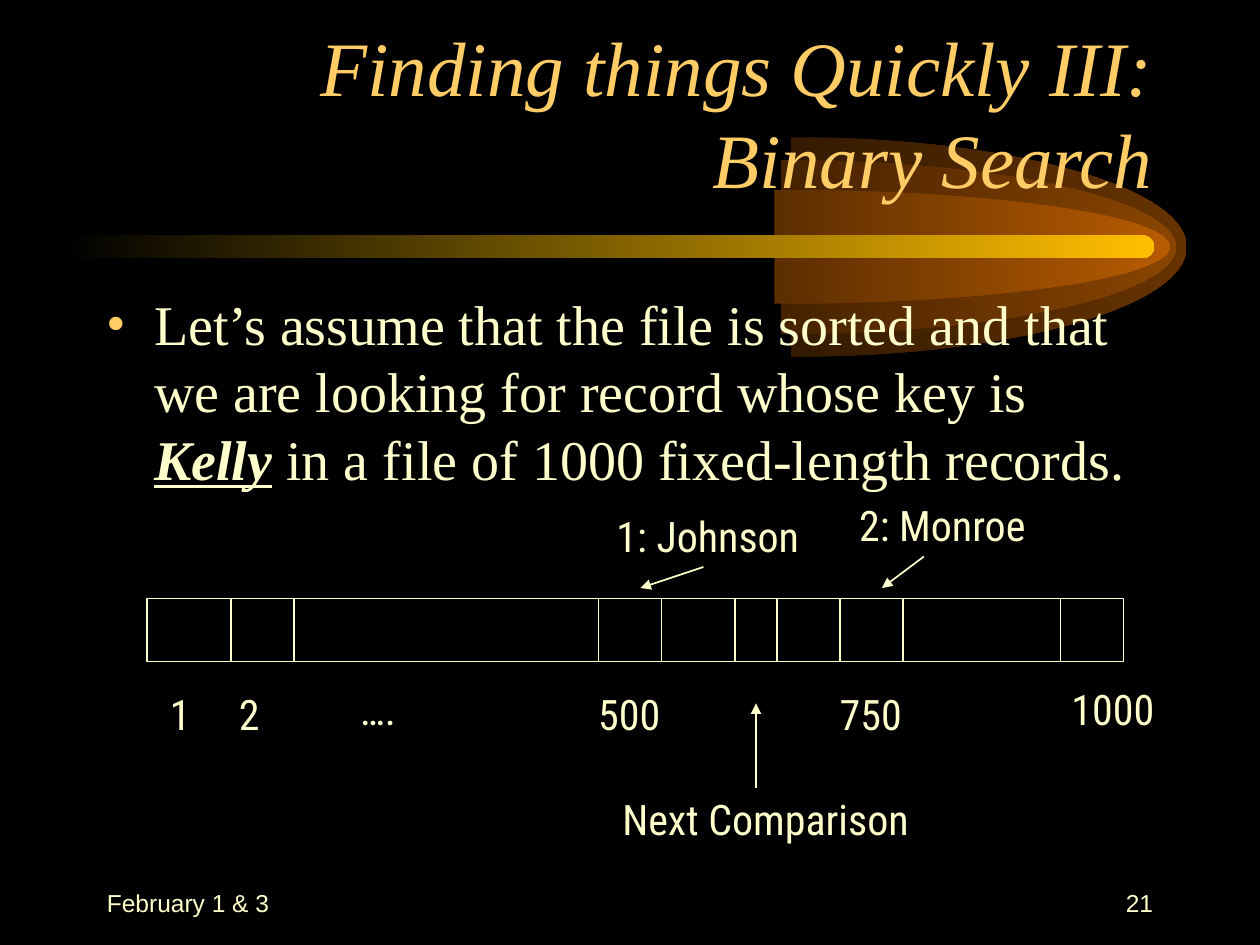
import pptx
import pptx.util
import pptx.oxml
import pptx.oxml.ns
import pptx.dml.color
import pptx.enum.shapes
import pptx.enum.text

Pt = pptx.util.Pt
RGBColor = pptx.dml.color.RGBColor
ALIGN = pptx.enum.text.PP_ALIGN
ANCHOR = pptx.enum.text.MSO_ANCHOR
SHAPE = pptx.enum.shapes.MSO_SHAPE

BLACK = RGBColor(0x00, 0x00, 0x00)
CREAM = RGBColor(0xFF, 0xFF, 0xCC)
GOLD = RGBColor(0xFF, 0xCC, 0x66)
AMBER = RGBColor(0xFF, 0xBF, 0x00)
ROUNDNESS = 0.55
COMET = [
    (452, 78.5, 226, 62.7, RGBColor(0x33, 0x1A, 0x00), RGBColor(0x66, 0x33, 0x00)),
    (446, 91.5, 226, 49.7, RGBColor(0x45, 0x22, 0x00), RGBColor(0x89, 0x44, 0x00)),
    (442.5, 108.5, 226, 32.5, RGBColor(0x5C, 0x2E, 0x00), RGBColor(0xB7, 0x5B, 0x00)),
]

FILE_LEFT, FILE_TOP, FILE_RIGHT, FILE_BOTTOM = 84, 342, 642, 378
DIVIDERS = [132, 168, 342, 378, 420, 444, 480, 516, 606]
LABELS = [
    ("….", 216, 387, 40), ("500", 359.6, 390, 55.5), ("750", 497.6, 390, 55.5),
    ("1000", 636, 387, 69), ("1: Johnson", 404.5, 288, 132.5),
    ("2: Monroe", 538.5, 282, 129.5), ("Next Comparison", 437.5, 450, 211),
]
ARROWS = [(402, 324, 366, 336), (528, 318, 504, 336), (432, 450, 432, 402)]


def add_xml(parent, tag, attributes="", content=""):
    """Append a drawing element to a parent element."""
    ns = pptx.oxml.ns.nsdecls("a")
    parent.append(pptx.oxml.parse_xml(
        f"<a:{tag} {ns} {attributes}>{content}</a:{tag}>"))


def fill_gradient(sp, left_color, right_color):
    """Fill a shape from left to right and remove its outline and shadow."""
    sp.shadow.inherit = False
    sp.line.fill.background()
    sp.fill.gradient()
    sp.fill.gradient_angle = 0
    for stop, color in zip(sp.fill.gradient_stops, (left_color, right_color)):
        stop.color.rgb = color


def add_comet_layer(s, left, top, rx, ry, left_color, right_color):
    """Draw a right half-ellipse of two curves, fading towards the left."""
    k = ROUNDNESS
    units = [(0, -1), (k, -1), (1, -k), (1, 0), (1, k), (k, 1), (0, 1)]
    points = [(Pt(left + rx * x), Pt(top + ry + ry * y)) for x, y in units]
    builder = s.shapes.build_freeform(*points[0], scale=1.0)
    builder.add_line_segments(points[1:], close=True)
    sp = builder.convert_to_shape()
    qn = pptx.oxml.ns.qn
    segments = list(sp._element.iter(qn("a:lnTo")))
    for i in (0, 3):
        curve = segments[i]
        for segment in segments[i + 1:i + 3]:
            curve.append(segment[0])
            segment.getparent().remove(segment)
        curve.tag = qn("a:cubicBezTo")
    fill_gradient(sp, left_color, right_color)


def add_bar(s):
    """Draw the rounded rule below the title."""
    sp = s.shapes.add_shape(SHAPE.ROUNDED_RECTANGLE, Pt(36), Pt(134.5), Pt(623.5), Pt(13))
    sp.adjustments[0] = 0.5
    fill_gradient(sp, BLACK, AMBER)


def add_line(s, x1, y1, x2, y2, arrow=False):
    """Draw a thin line, optionally with an arrowhead at its end."""
    line = s.shapes.add_connector(
        pptx.enum.shapes.MSO_CONNECTOR.STRAIGHT, Pt(x1), Pt(y1), Pt(x2), Pt(y2))
    line.line.color.rgb = CREAM
    line.line.width = Pt(1)
    sp_pr = line._element.spPr
    if arrow:
        add_xml(sp_pr.find(pptx.oxml.ns.qn("a:ln")), "tailEnd", 'type="triangle"')
    add_xml(sp_pr, "effectLst")


def format_font(font, size, name, color=CREAM):
    """Set size, typeface and colour."""
    font.size = Pt(size)
    font.name = name
    font.color.rgb = color


def add_text(s, box, text, size, font, color=CREAM, align=ALIGN.LEFT,
             anchor=ANCHOR.TOP, wrap=True):
    """Add a one-paragraph text box and return its paragraph."""
    tf = s.shapes.add_textbox(*(Pt(v) for v in box)).text_frame
    tf.word_wrap = wrap
    tf.vertical_anchor = anchor
    p = tf.paragraphs[0]
    p.text = text
    p.alignment = align
    format_font(p.runs[0].font, size, font, color)
    return p


def add_body(s):
    """Add the bulleted statement with the emphasized key."""
    p = add_text(s, (54, 162, 612, 324),
                 "Let’s assume that the file is sorted and that we are looking "
                 "for record whose key is ", 32, "Times New Roman")
    p_pr = p._p.get_or_add_pPr()
    p_pr.set("marL", str(Pt(27)))
    p_pr.set("indent", str(-Pt(27)))
    add_xml(p_pr, "buClr", content=f'<a:srgbClr val="{GOLD}"/>')
    add_xml(p_pr, "buFont", 'typeface="Times New Roman"')
    add_xml(p_pr, "buChar", 'char="•"')
    format_font(p.font, 32, "Times New Roman")
    key, rest = p.add_run(), p.add_run()
    key.text = "Kelly"
    rest.text = " in a file of 1000 fixed-length records."
    for r in (key, rest):
        format_font(r.font, 32, "Times New Roman")
    key.font.bold = key.font.italic = key.font.underline = True


def add_file_diagram(s):
    """Draw the file of records with its labels and arrows."""
    sp = s.shapes.add_shape(SHAPE.RECTANGLE, Pt(FILE_LEFT), Pt(FILE_TOP),
                            Pt(FILE_RIGHT - FILE_LEFT), Pt(FILE_BOTTOM - FILE_TOP))
    sp.shadow.inherit = False
    sp.fill.background()
    sp.line.color.rgb = CREAM
    sp.line.width = Pt(1)
    for x in DIVIDERS:
        add_line(s, x, FILE_TOP, x, FILE_BOTTOM)
    p = add_text(s, (90, 390, 72, 36), "1\t2", 24, "Roboto Condensed")
    add_xml(p._p.get_or_add_pPr(), "tabLst",
            content=f'<a:tab pos="{Pt(39.5)}" algn="l"/>')
    for text, center, top, width in LABELS:
        add_text(s, (center - width / 2, top, width, 36), text, 24,
                 "Roboto Condensed", align=ALIGN.CENTER, wrap=False)
    for arrow in ARROWS:
        add_line(s, *arrow, arrow=True)


def main():
    """Build and save the slide."""
    prs = pptx.Presentation()
    prs.slide_width, prs.slide_height = Pt(720), Pt(540)
    s = prs.slides.add_slide(prs.slide_layouts[6])
    s.background.fill.solid()
    s.background.fill.fore_color.rgb = BLACK
    for layer in COMET:
        add_comet_layer(s, *layer)
    add_bar(s)
    p = add_text(s, (54, 30, 612, 90), "Finding things Quickly III: Binary Search",
                 44, "Times New Roman", GOLD, ALIGN.RIGHT, ANCHOR.BOTTOM)
    p.runs[0].font.italic = True
    add_body(s)
    add_file_diagram(s)
    add_text(s, (54, 498, 150, 36), "February 1 & 3", 14, "Arial", anchor=ANCHOR.MIDDLE)
    add_text(s, (516, 498, 150, 36), "21", 14, "Arial", align=ALIGN.RIGHT,
             anchor=ANCHOR.MIDDLE)
    prs.save("out.pptx")


if __name__ == "__main__":
    main()
